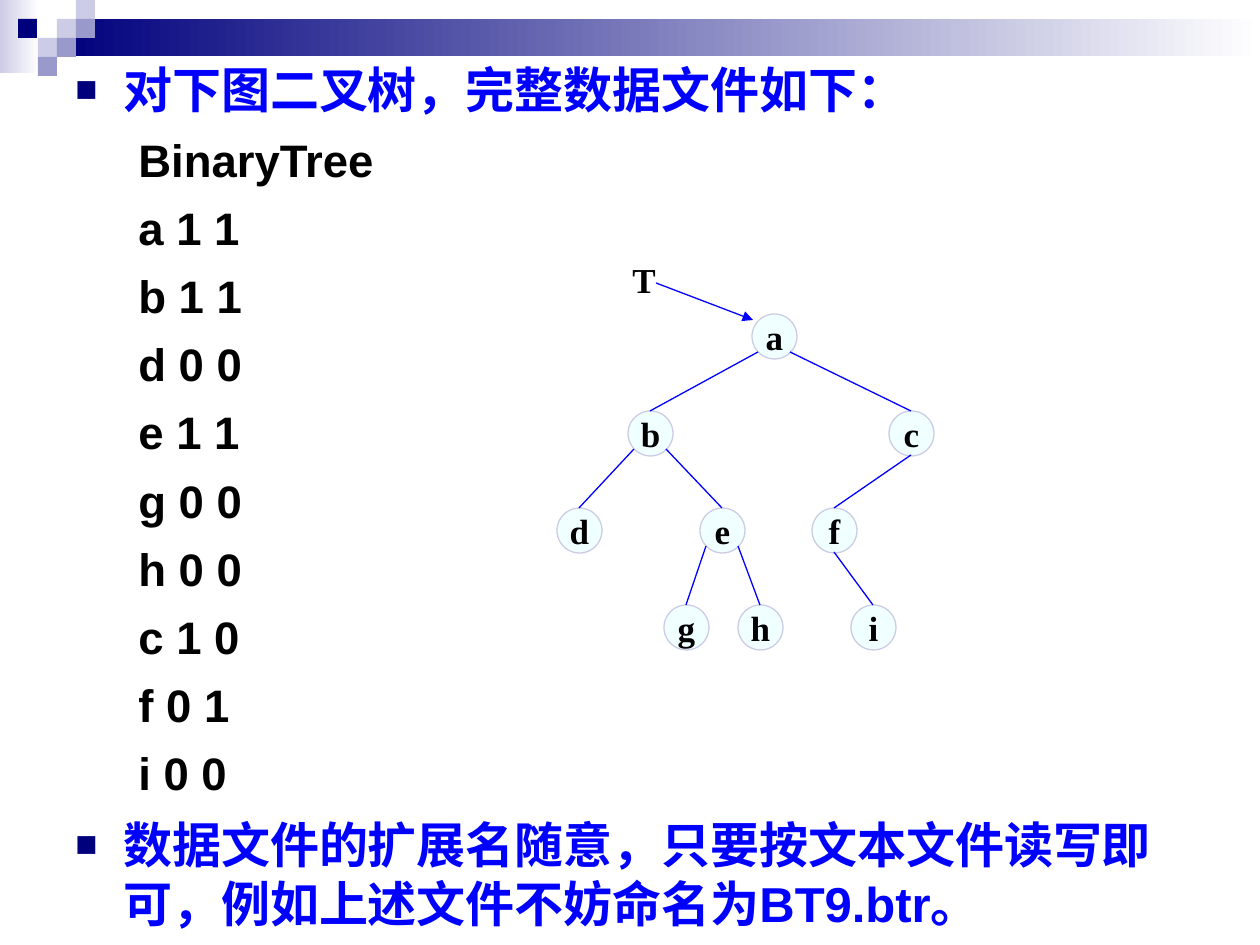
from lxml.etree import SubElement
from pptx import Presentation
from pptx.dml.color import RGBColor
from pptx.enum.shapes import MSO_CONNECTOR, MSO_SHAPE
from pptx.enum.text import MSO_ANCHOR, PP_ALIGN
from pptx.oxml.ns import qn
from pptx.util import Emu, Pt

EMU_PER_PX = 914400 / 126

NAVY = RGBColor(0x00, 0x00, 0x7D)
LILAC = RGBColor(0xCC, 0xCC, 0xE6)
VIOLET = RGBColor(0x99, 0x99, 0xCC)
WHITE = RGBColor(0xFF, 0xFF, 0xFF)
BLACK = RGBColor(0x00, 0x00, 0x00)
BLUE = RGBColor(0x00, 0x00, 0xFF)
AZURE = RGBColor(0xF0, 0xFF, 0xFF)

POINT_FONT = {"name": "Arial", "size": Pt(28), "bold": True}
RECORD_FONT = {"name": "Arial", "size": Pt(26), "bold": True}
NODE_FONT = {"name": "Times New Roman", "size": Pt(20), "bold": True}

# Header squares: left, top, colour
SQUARE = 19
SQUARES = [
    (57, 19, LILAC), (76, 0, LILAC), (76, 19, VIOLET), (38, 38, LILAC),
    (18, 19, NAVY), (57, 38, VIOLET), (38, 57, VIOLET),
]

INTRO = "对下图二叉树，完整数据文件如下："
RECORDS = ["BinaryTree", "a 1 1", "b 1 1", "d 0 0", "e 1 1", "g 0 0",
           "h 0 0", "c 1 0", "f 0 1", "i 0 0"]
REMARK = ("数据文件的扩展名随意，只要按文本文件读写即可，"
          "例如上述文件不妨命名为BT9.btr。")

# Tree: centre x of each node by level, and children of each node
DIAMETER = 45
RADIUS = DIAMETER // 2
DIAGONAL = 16  # offset of a circle point at 45 degrees
ROOT_Y, LEVEL_GAP = 336, 97
LEVELS = [
    {"a": 774},
    {"b": 650, "c": 911},
    {"d": 579, "e": 722, "f": 834},
    {"g": 686, "h": 760, "i": 873},
]
CHILDREN = {"a": "bc", "b": "de", "c": "f", "e": "gh", "f": "i"}


def px(n):
    return Emu(round(n * EMU_PER_PX))


def set_font(font, values, color):
    for name, value in values.items():
        setattr(font, name, value)
    font.color.rgb = color


def add_shape(s, kind, x, y, w, h, color, line=None):
    sp = s.shapes.add_shape(kind, px(x), px(y), px(w), px(h))
    sp.shadow.inherit = False
    sp.fill.solid()
    sp.fill.fore_color.rgb = color
    if line is None:
        sp.line.fill.background()
    else:
        sp.line.color.rgb = line
        sp.line.width = Pt(0.75)
    return sp


def add_fade(s, x, y, w, h, color):
    sp = add_shape(s, MSO_SHAPE.RECTANGLE, x, y, w, h, color)
    sp.fill.gradient()
    sp.fill.gradient_angle = 0
    for stop, c in zip(sp.fill.gradient_stops, (color, WHITE)):
        stop.color.rgb = c


def add_line(s, x1, y1, x2, y2, arrow=False):
    cxn = s.shapes.add_connector(MSO_CONNECTOR.STRAIGHT,
                                 px(x1), px(y1), px(x2), px(y2))
    cxn.line.color.rgb = BLUE
    cxn.line.width = Pt(0.75)
    if arrow:
        SubElement(cxn.line._get_or_add_ln(), qn("a:tailEnd"), type="triangle")
    SubElement(cxn._element.spPr, qn("a:effectLst"))


def add_textbox(s, x, y, w, h):
    tf = s.shapes.add_textbox(px(x), px(y), px(w), px(h)).text_frame
    tf.word_wrap = True
    return tf


def add_paragraph(tf, text, font, color, margin, indent, bullet=False):
    first = not tf.paragraphs[0].text
    p = tf.paragraphs[0] if first else tf.add_paragraph()
    pPr = p._p.get_or_add_pPr()
    pPr.set("marL", str(px(margin)))
    pPr.set("indent", str(px(indent)))
    if not first:
        p.space_before = Pt(font["size"].pt * 0.3)
    if bullet:
        bu_clr = SubElement(pPr, qn("a:buClr"))
        SubElement(bu_clr, qn("a:srgbClr"), val=str(NAVY))
        SubElement(pPr, qn("a:buSzPct"), val="75000")
        SubElement(pPr, qn("a:buFont"), typeface="Arial")
        SubElement(pPr, qn("a:buChar"), char="■")
    r = p.add_run()
    r.text = text
    set_font(r.font, font, color)


def add_node(s, label, x, y):
    sp = add_shape(s, MSO_SHAPE.OVAL, x - RADIUS, y - RADIUS,
                   DIAMETER, DIAMETER, AZURE, LILAC)
    tf = sp.text_frame
    format_values = {"margin_left": 0, "margin_right": 0, "margin_top": 0,
                     "margin_bottom": 0, "word_wrap": False,
                     "vertical_anchor": MSO_ANCHOR.MIDDLE}
    for name, value in format_values.items():
        setattr(tf, name, value)
    p = tf.paragraphs[0]
    p.text = label
    p.alignment = PP_ALIGN.CENTER
    set_font(p.runs[0].font, NODE_FONT, BLACK)


def add_header(s):
    add_fade(s, 0, 0, 39, 73, LILAC)
    add_fade(s, 57, 19, 1203, 37, NAVY)
    for x, y, color in SQUARES:
        add_shape(s, MSO_SHAPE.RECTANGLE, x, y, SQUARE, SQUARE, color)


def add_body(s):
    tf = add_textbox(s, 63, 53, 1144, 892)
    add_paragraph(tf, INTRO, POINT_FONT, BLUE, 48, -48, bullet=True)
    for record in RECORDS:
        add_paragraph(tf, record, RECORD_FONT, BLACK, 102, -39)
    add_paragraph(tf, REMARK, POINT_FONT, BLUE, 48, -48, bullet=True)


def add_tree(s):
    centres = {label: (x, ROOT_Y + depth * LEVEL_GAP)
               for depth, level in enumerate(LEVELS)
               for label, x in level.items()}
    for label, (x, y) in centres.items():
        add_node(s, label, x, y)

    # Two children leave from the diagonals, an only child from the bottom
    for parent, children in CHILDREN.items():
        x, y = centres[parent]
        starts = ([(x - DIAGONAL, y + DIAGONAL), (x + DIAGONAL, y + DIAGONAL)]
                  if len(children) == 2 else [(x, y + RADIUS)])
        for start, child in zip(starts, children):
            child_x, child_y = centres[child]
            add_line(s, *start, child_x, child_y - RADIUS)

    # Root pointer
    tf = add_textbox(s, 620, 252, 58, 55)
    add_paragraph(tf, "T", NODE_FONT, BLACK, 0, 0)
    add_line(s, 656, 283, 753, 320, arrow=True)


def main():
    prs = Presentation()
    prs.slide_width, prs.slide_height = px(1260), px(945)
    s = prs.slides.add_slide(prs.slide_layouts[6])
    add_header(s)
    add_body(s)
    add_tree(s)
    prs.save("out.pptx")


if __name__ == "__main__":
    main()
